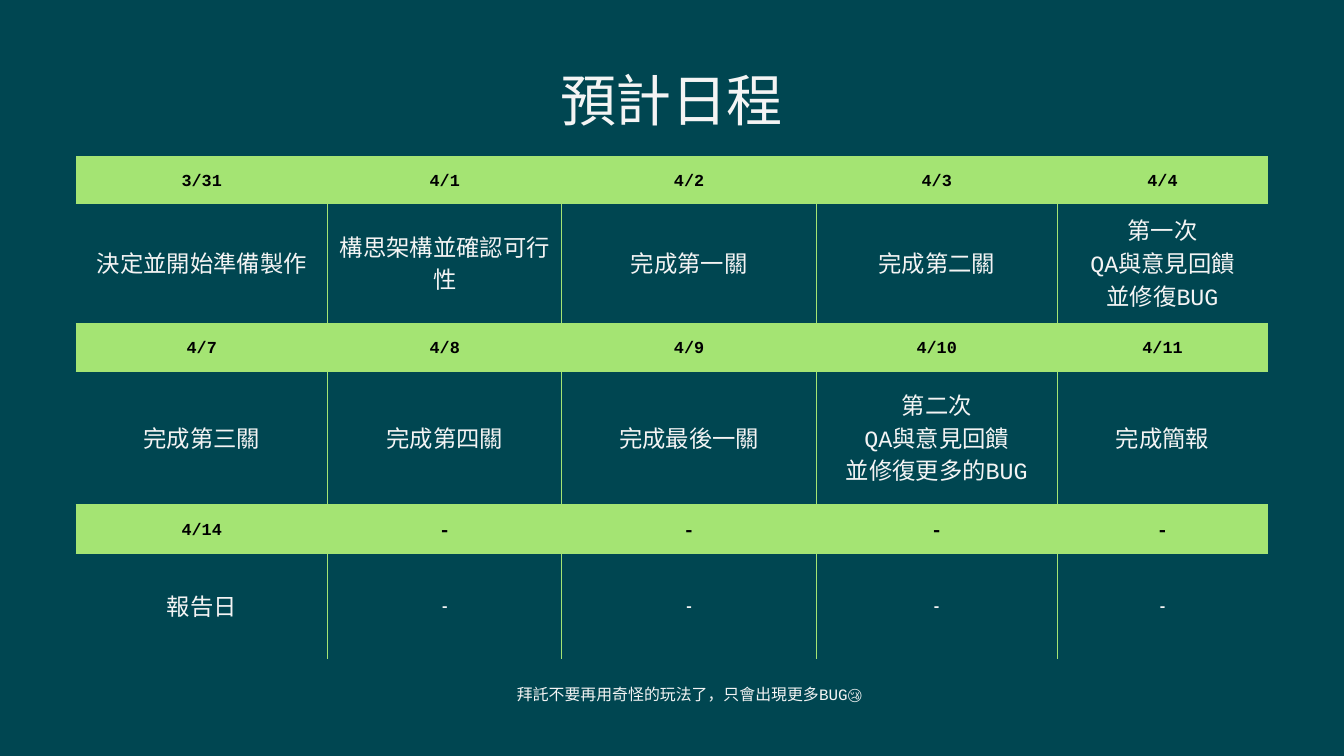
from dataclasses import dataclass

from lxml import etree
from pptx import Presentation
from pptx.dml.color import RGBColor
from pptx.enum import text
from pptx.oxml import ns
from pptx.util import Cm, Pt


@dataclass(frozen=True)
class Theme:
    font: str = "Courier New"
    background: RGBColor = RGBColor(0x00, 0x46, 0x51)
    accent: RGBColor = RGBColor(0xA4, 0xE4, 0x73)
    light: RGBColor = RGBColor(0xF4, 0xF4, 0xF4)
    dark: RGBColor = RGBColor(0x00, 0x00, 0x00)
    title_size: float = 60
    date_size: float = 18
    empty_date_size: float = 20
    task_size: float = 25
    empty_task_size: float = 16
    note_size: float = 17
    rule_width: float = 0.75


THEME = Theme()
COLUMN_WIDTHS = [9.53, 8.84, 9.63, 9.09, 7.98]
WEEKS = [
    (1.78, ["3/31", "4/1", "4/2", "4/3", "4/4"],
     4.55, ["決定並開始準備製作", "構思架構並確認可行性", "完成第一關", "完成第二關",
            "第一次\nQA與意見回饋\n並修復BUG"]),
    (1.8, ["4/7", "4/8", "4/9", "4/10", "4/11"],
     5.05, ["完成第三關", "完成第四關", "完成最後一關",
            "第二次\nQA與意見回饋\n並修復更多的BUG", "完成簡報"]),
    (1.83, ["4/14", "-", "-", "-", "-"],
     4.01, ["報告日", "-", "-", "-", "-"]),
]


def write(text_frame, content, size, color, bold=False, leading=1.4):
    text_frame.text = content
    for paragraph in text_frame.paragraphs:
        paragraph.alignment = text.PP_ALIGN.CENTER
        paragraph.line_spacing = Pt(size * leading)
        for run in paragraph.runs:
            run.font.size = Pt(size)
            run.font.bold = bold
            run.font.color.rgb = color
            run.font.name = THEME.font
            east_asian = etree.SubElement(run.font._element, ns.qn("a:ea"))
            east_asian.set("typeface", THEME.font)


def fit_box(text_frame):
    text_frame.margin_left = text_frame.margin_right = 0
    text_frame.margin_top = text_frame.margin_bottom = 0
    text_frame.word_wrap = True
    text_frame.vertical_anchor = text.MSO_ANCHOR.TOP
    text_frame.auto_size = text.MSO_AUTO_SIZE.SHAPE_TO_FIT_TEXT


def draw_borders(cell, hidden_sides):
    properties = cell._tc.get_or_add_tcPr()
    for side in "LRTB":
        line = etree.SubElement(properties, ns.qn(f"a:ln{side}"))
        if side in hidden_sides:
            line.set("w", "0")
            etree.SubElement(line, ns.qn("a:noFill"))
        else:
            line.set("w", str(Pt(THEME.rule_width)))
            fill = etree.SubElement(line, ns.qn("a:solidFill"))
            etree.SubElement(fill, ns.qn("a:srgbClr")).set("val", str(THEME.accent))


def add_title(slide, left, top, width, height):
    title = slide.shapes.title
    title.left, title.top, title.width, title.height = left, top, width, height
    fit_box(title.text_frame)
    write(title.text_frame, "預計日程", THEME.title_size, THEME.light, leading=1.3)
    title.text_frame.paragraphs[0].runs[0].font._element.set("spc", "-60")


def fill_cell(cell, content, is_date, hidden_sides):
    cell.margin_left = cell.margin_right = Cm(0.28)
    cell.margin_top = cell.margin_bottom = Cm(0.28)
    cell.vertical_anchor = text.MSO_ANCHOR.MIDDLE
    draw_borders(cell, hidden_sides)
    cell.fill.solid()
    cell.fill.fore_color.rgb = THEME.accent if is_date else THEME.background
    empty = content == "-"
    if is_date:
        size = THEME.empty_date_size if empty else THEME.date_size
        write(cell.text_frame, content, size, THEME.dark, bold=True)
    else:
        size = THEME.empty_task_size if empty else THEME.task_size
        write(cell.text_frame, content, size, THEME.light, bold=empty)


def add_schedule(slide, left, top, width, height):
    rows = []
    for date_height, dates, task_height, tasks in WEEKS:
        rows += [(date_height, dates, True), (task_height, tasks, False)]
    last_row, last_column = len(rows) - 1, len(COLUMN_WIDTHS) - 1
    table = slide.shapes.add_table(
        len(rows), len(COLUMN_WIDTHS), left, top, width, height).table
    table.first_row = table.horz_banding = False
    for column, column_width in zip(table.columns, COLUMN_WIDTHS):
        column.width = Cm(column_width)
    for row_index, (row_height, contents, is_date) in enumerate(rows):
        table.rows[row_index].height = Cm(row_height)
        for column_index, content in enumerate(contents):
            edges = {"L": column_index == 0, "R": column_index == last_column,
                     "T": row_index == 0, "B": row_index == last_row}
            hidden_sides = [side for side, outer in edges.items() if outer]
            fill_cell(table.cell(row_index, column_index), content, is_date, hidden_sides)


def add_note(slide, left, top, width, height):
    text_frame = slide.shapes.add_textbox(left, top, width, height).text_frame
    fit_box(text_frame)
    write(text_frame, "拜託不要再用奇怪的玩法了，只會出現更多BUG😢", THEME.note_size, THEME.light)


def main():
    presentation = Presentation()
    presentation.slide_width, presentation.slide_height = Cm(50.8), Cm(28.58)
    slide = presentation.slides.add_slide(presentation.slide_layouts[5])
    slide.background.fill.solid()
    slide.background.fill.fore_color.rgb = THEME.background
    add_title(slide, Cm(2.84), Cm(2.26), Cm(45.09), Cm(2.69))
    add_schedule(slide, Cm(2.86), Cm(5.89), Cm(45.07), Cm(19.02))
    add_note(slide, Cm(18.8), Cm(25.78), Cm(14.53), Cm(0.79))
    presentation.save("out.pptx")


if __name__ == "__main__":
    main()
